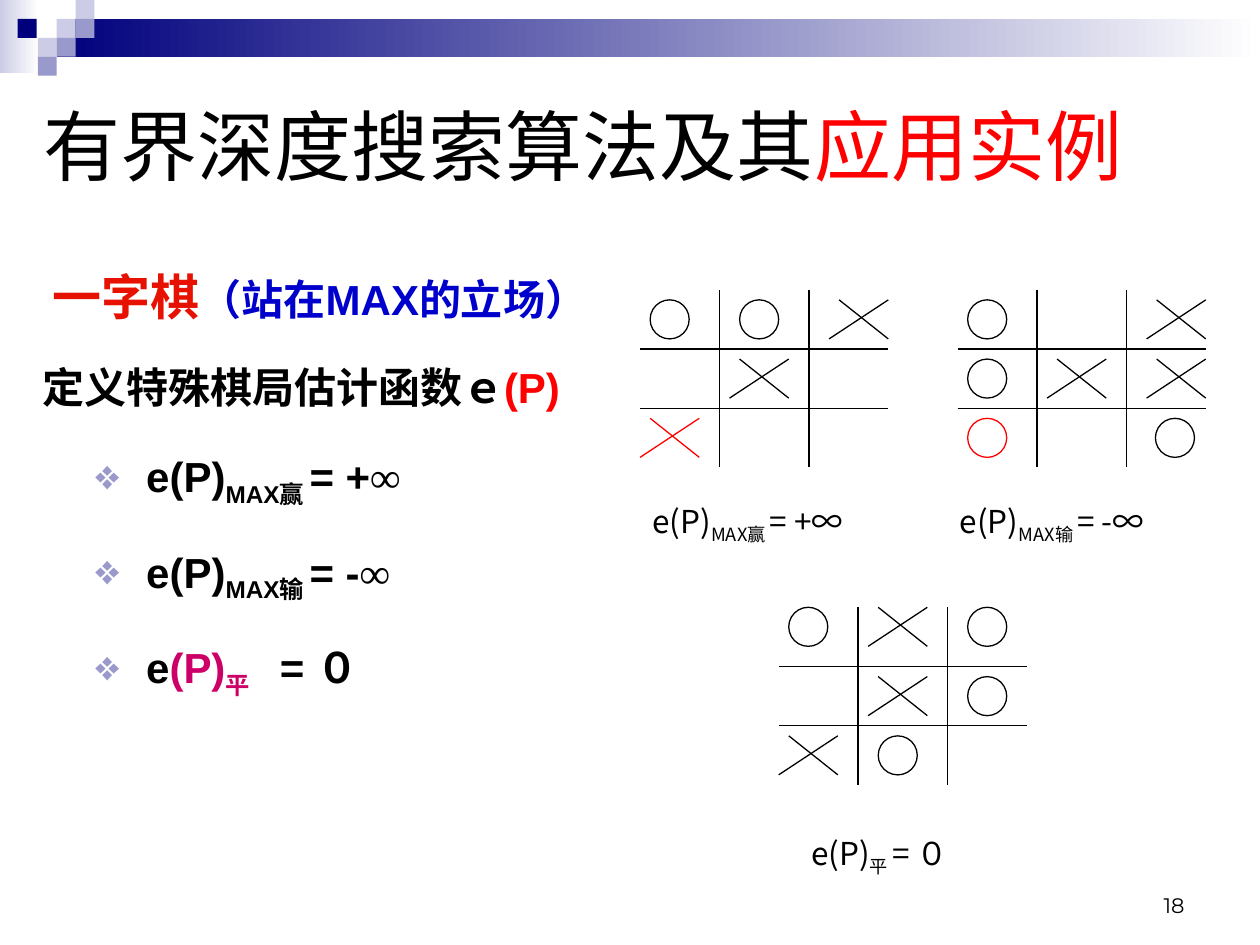
from typing import NamedTuple

from lxml.etree import SubElement
from pptx import Presentation
from pptx.dml.color import RGBColor
from pptx.enum.shapes import MSO_CONNECTOR, MSO_SHAPE
from pptx.enum.text import MSO_ANCHOR, PP_ALIGN
from pptx.oxml.ns import qn
from pptx.util import Inches, Pt

COLORS = {
    "black": "000000", "red": "FF0000", "scarlet": "E71101", "blue": "0000CC",
    "magenta": "CC0066", "navy": "00007D", "lavender": "9999CC",
    "pale": "CCCCE6", "white": "FFFFFF",
}
CJK_FONT = "Noto Sans CJK SC"
MARK_SIZE = 0.31
CROSS_COLUMNS = (0, 0.71, 1.5)


class Run(NamedTuple):
    text: str
    color: str = "black"
    size: float = 24
    font: str = "Arial"
    subscript: bool = False


class Line(NamedTuple):
    runs: list[Run]
    format: dict = {}
    bold: bool = False
    indent: tuple[float, float] = (0, 0)
    bullet: str = ""


class Mark(NamedTuple):
    kind: str
    column: int
    row: int
    color: str = "black"


class Board(NamedTuple):
    left: float
    top: float
    marks: list[Mark]
    caption: list[Run]
    caption_box: tuple[float, float, float, float]
    caption_spacing: float = 1.2
    circle_columns: tuple = (0.08, 0.79, 1.57)
    rows: tuple = (0.08, 0.55, 1.02)


def rgb(name: str) -> RGBColor:
    return RGBColor.from_string(COLORS[name])


def add_block(slide, box: tuple, start: str, end: str = "") -> None:
    """Add a borderless rectangle, with a left-to-right gradient if end is given."""
    shape = slide.shapes.add_shape(MSO_SHAPE.RECTANGLE, *map(Inches, box))
    shape.shadow.inherit = False
    shape.line.fill.background()
    if end:
        shape.fill.gradient()
        shape.fill.gradient_angle = 0
        for stop, color in zip(shape.fill.gradient_stops, (start, end)):
            stop.color.rgb = rgb(color)
    else:
        shape.fill.solid()
        shape.fill.fore_color.rgb = rgb(start)


def add_line(slide, start: tuple, end: tuple, color: str = "black") -> None:
    connector = slide.shapes.add_connector(
        MSO_CONNECTOR.STRAIGHT, *map(Inches, (*start, *end)))
    connector.line.color.rgb = rgb(color)
    connector.line.width = Pt(0.75)
    SubElement(connector._element.spPr, qn("a:effectLst"))


def add_circle(slide, left: float, top: float, color: str) -> None:
    shape = slide.shapes.add_shape(
        MSO_SHAPE.OVAL, *map(Inches, (left, top, MARK_SIZE, MARK_SIZE)))
    shape.shadow.inherit = False
    shape.fill.background()
    shape.line.color.rgb = rgb(color)
    shape.line.width = Pt(0.75)


def add_cross(slide, left: float, top: float, color: str) -> None:
    right, bottom = left + 0.47, top + MARK_SIZE
    add_line(slide, (left, bottom), (right, top), color)
    add_line(slide, (left + 0.08, top), (right, bottom), color)


def add_run(paragraph, item: Run, bold: bool) -> None:
    run = paragraph.add_run()
    run.text = item.text
    values = {"name": item.font, "size": Pt(item.size), "bold": bold}
    for name, value in values.items():
        setattr(run.font, name, value)
    run.font.color.rgb = rgb(item.color)
    properties = run._r.get_or_add_rPr()
    SubElement(properties, qn("a:ea")).set("typeface", CJK_FONT)
    if item.subscript:
        properties.set("baseline", "-25000")


def add_text(slide, box: tuple, lines: list[Line], anchor=MSO_ANCHOR.TOP) -> None:
    frame = slide.shapes.add_textbox(*map(Inches, box)).text_frame
    frame.word_wrap = True
    frame.vertical_anchor = anchor
    for index, line in enumerate(lines):
        paragraph = frame.add_paragraph() if index else frame.paragraphs[0]
        for name, value in line.format.items():
            setattr(paragraph, name, value)
        properties = paragraph._p.get_or_add_pPr()
        for name, value in zip(("marL", "indent"), line.indent):
            properties.set(name, str(Inches(value)))
        if line.bullet:
            color = SubElement(properties, qn("a:buClr"))
            SubElement(color, qn("a:srgbClr")).set("val", COLORS["lavender"])
            SubElement(properties, qn("a:buChar")).set("char", line.bullet)
        for run in line.runs:
            add_run(paragraph, run, line.bold)


def add_board(slide, board: Board) -> None:
    left, top = board.left, board.top
    for offset in (0.47, 0.94):
        add_line(slide, (left, top + offset), (left + 1.97, top + offset))
    for offset in (0.63, 1.34):
        add_line(slide, (left + offset, top), (left + offset, top + 1.41))
    for mark in board.marks:
        is_circle = mark.kind == "O"
        columns = board.circle_columns if is_circle else CROSS_COLUMNS
        draw = add_circle if is_circle else add_cross
        draw(slide, left + columns[mark.column], top + board.rows[mark.row], mark.color)
    add_text(slide, board.caption_box,
             [Line(board.caption, {"line_spacing": board.caption_spacing})])


def caption(subscript: str, value: str) -> list[Run]:
    return [Run("e(P)", size=18, font=CJK_FONT),
            Run(subscript, size=18, font=CJK_FONT, subscript=True),
            Run(value, size=18, font=CJK_FONT)]


def infinite_value(subscript: str, sign: str) -> list[Run]:
    return [Run(" e(P)"), Run(subscript, subscript=True), Run(f"= {sign}"),
            Run("∞", font="Times New Roman")]


HEADER_SQUARES = [
    (0.45, 0.15, "pale"), (0.6, 0, "pale"), (0.6, 0.15, "lavender"),
    (0.3, 0.3, "pale"), (0.14, 0.15, "navy"), (0.45, 0.3, "lavender"),
    (0.3, 0.45, "lavender"),
]
FIRST = {"line_spacing": 1.3, "space_after": Pt(6)}
BODY = {**FIRST, "space_before": Pt(6)}
HEADING_INDENT = (0.38, -0.38)
FORMULAS = [
    infinite_value("MAX赢 ", "+"),
    infinite_value("MAX输 ", "-"),
    [Run(" e"), Run("(P)", "magenta"), Run("平 　", "magenta", subscript=True),
     Run("= ０")],
]
BODY_LINES = [
    Line([Run("一字棋", "scarlet", 28), Run("（站在MAX的立场）", "blue")],
         {**FIRST, "alignment": PP_ALIGN.CENTER}, True, HEADING_INDENT),
    Line([Run(" 定义特殊棋局估计函数ｅ"), Run("(P)", "red")], BODY, True, HEADING_INDENT),
    *(Line(runs, BODY, True, (0.81, -0.31), "❖") for runs in FORMULAS),
]
BOARDS = [
    Board(5.08, 2.3,
          [Mark("O", 0, 0), Mark("O", 1, 0), Mark("X", 2, 0), Mark("X", 1, 1),
           Mark("X", 0, 2, "red")],
          caption("MAX赢 ", "= +∞"), (5.08, 3.87, 2.28, 0.51)),
    Board(7.6, 2.3,
          [Mark("O", 0, 0), Mark("X", 2, 0), Mark("O", 0, 1), Mark("X", 1, 1),
           Mark("X", 2, 1), Mark("O", 0, 2, "red"), Mark("O", 2, 2)],
          caption("MAX输 ", "= -∞"), (7.52, 3.87, 2.28, 0.51)),
    Board(6.18, 4.82,
          [Mark("O", 0, 0), Mark("X", 1, 0), Mark("O", 2, 0), Mark("X", 1, 1),
           Mark("O", 2, 1), Mark("X", 0, 2), Mark("O", 1, 2)],
          caption("平 ", "= ０"), (6.34, 6.47, 2.2, 0.55), 1.3,
          (0.08, 0.79, 1.5), (0, 0.55, 1.02)),
]


def main() -> None:
    presentation = Presentation()
    presentation.slide_width, presentation.slide_height = Inches(10), Inches(7.5)
    slide = presentation.slides.add_slide(presentation.slide_layouts[6])
    add_block(slide, (0, 0, 0.31, 0.58), "pale", "white")
    add_block(slide, (0.45, 0.15, 9.55, 0.3), "navy", "white")
    for left, top, color in HEADER_SQUARES:
        add_block(slide, (left, top, 0.15, 0.15), color)
    add_text(slide, (7.17, 6.83, 2.33, 0.5),
             [Line([Run("18", size=12, font="Montserrat")],
                   {"alignment": PP_ALIGN.RIGHT})], MSO_ANCHOR.BOTTOM)
    add_text(slide, (0.25, 0.77, 8.89, 0.75),
             [Line([Run("有界深度搜索算法及其", size=44), Run("应用实例", "red", 44)])],
             MSO_ANCHOR.MIDDLE)
    add_text(slide, (0.16, 1.93, 4.76, 5.42), BODY_LINES)
    for board in BOARDS:
        add_board(slide, board)
    presentation.save("out.pptx")


if __name__ == "__main__":
    main()
